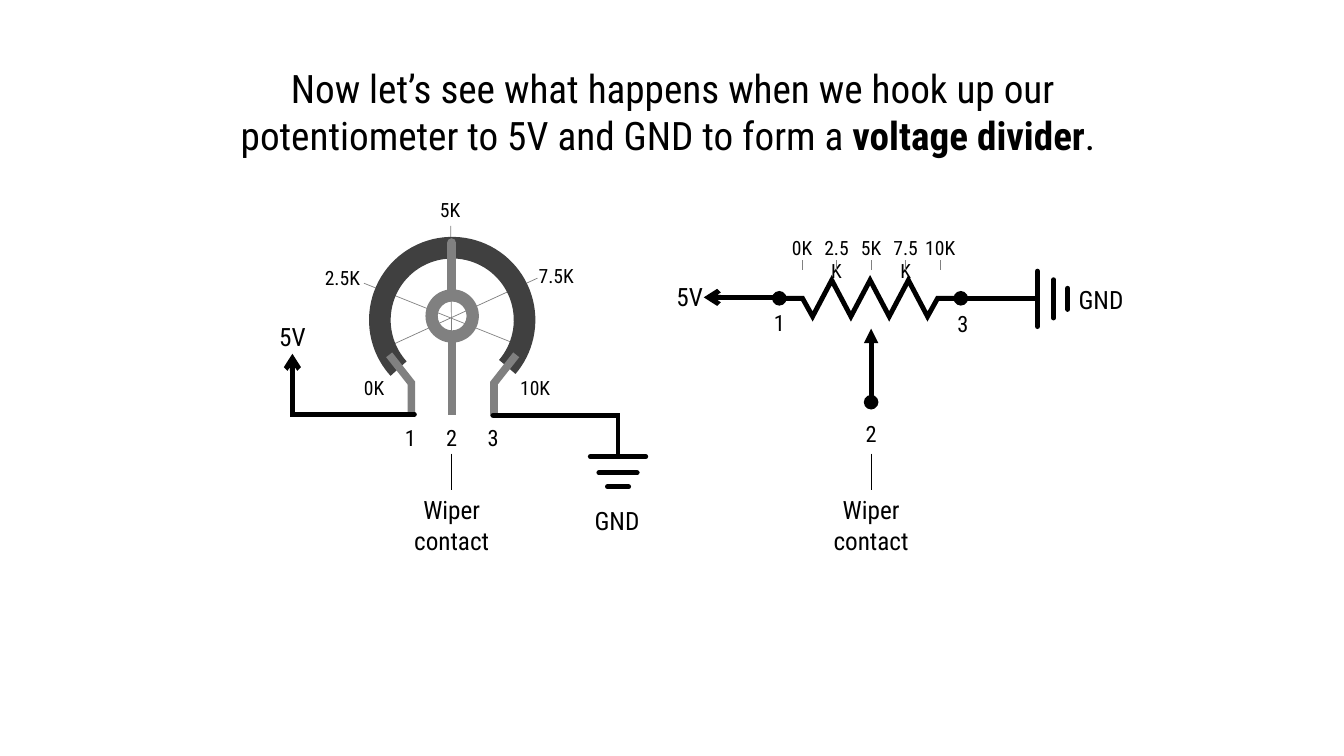
from dataclasses import dataclass

from lxml import etree
from pptx import Presentation
from pptx.dml.color import RGBColor
from pptx.enum.shapes import MSO_CONNECTOR, MSO_SHAPE
from pptx.enum.text import MSO_ANCHOR, MSO_AUTO_SIZE, PP_ALIGN
from pptx.oxml.ns import qn
from pptx.slide import Slide
from pptx.util import Inches, Pt

STRAIGHT = MSO_CONNECTOR.STRAIGHT
BLOCK_ARC, DONUT = MSO_SHAPE.BLOCK_ARC, MSO_SHAPE.DONUT
TOP, GROW = MSO_ANCHOR.TOP, MSO_AUTO_SIZE.SHAPE_TO_FIT_TEXT
LEFT, CENTER, RIGHT = PP_ALIGN.LEFT, PP_ALIGN.CENTER, PP_ALIGN.RIGHT
FONT = "Roboto Condensed"
BLACK, GRAY, DARK = "000000", "808080", "404040"
COLUMNS, ROWS = 1333, 750
UNIT = Inches(0.01)
LABEL_ROWS = {14: 34, 16: 37, 18: 40}
GROUND_BARS = ((0, 27.5), (16, 19), (30, 10.5))


def color(value):
    """Turn a hex string into a colour."""
    return RGBColor.from_string(value)


def grid(*counts):
    """Turn counts of grid columns or rows into lengths."""
    return [int(count * UNIT) for count in counts]


def style_text(frame, size, align):
    """Format every run in a text frame alike."""
    frame.word_wrap = True
    frame.auto_size = GROW
    frame.vertical_anchor = TOP
    for para in frame.paragraphs:
        para.alignment = align
        for span in para.runs:
            span.font.name = FONT
            span.font.size = Pt(size)
            span.font.color.rgb = color(BLACK)


def add_title(page, box, parts):
    """Fill the title placeholder with (text, bold) parts."""
    title = page.shapes.title
    title.left, title.top, title.width, title.height = grid(*box)
    para = title.text_frame.paragraphs[0]
    for text, bold in parts:
        span = para.add_run()
        span.text = text
        span.font.bold = bold
    style_text(title.text_frame, 28, CENTER)


@dataclass
class Panel:
    """A drawing area measured from its vertical axis and its top."""

    page: Slide
    axis: float
    top: float

    def label(self, text, middle, top, width, size, align=CENTER):
        """Write a label around a middle column."""
        box = self.page.shapes.add_textbox(*grid(
            self.axis + middle - width / 2, self.top + top, width, LABEL_ROWS[size]))
        box.text_frame.text = text
        style_text(box.text_frame, size, align)

    def wire(self, points, width=3.5, hue=BLACK, head=None, tail=None, cap="rnd"):
        """Draw a line through points, with optional ends."""
        points = [grid(self.axis + x, self.top + y) for x, y in points]
        shapes = self.page.shapes
        if len(points) == 2:
            line = shapes.add_connector(STRAIGHT, *points[0], *points[1])
        else:
            builder = shapes.build_freeform(*points[0], scale=1.0)
            builder.add_line_segments(points[1:], close=False)
            line = builder.convert_to_shape()
            line.fill.background()
        line.line.color.rgb = color(hue)
        line.line.width = Pt(width)
        stroke = line.line._get_or_add_ln()
        stroke.set("cap", cap)
        etree.SubElement(stroke, qn("a:miter"), lim="800000")
        for tag, kind in (("a:headEnd", head), ("a:tailEnd", tail)):
            if kind:
                etree.SubElement(stroke, qn(tag), type=kind)
        etree.SubElement(line.element.spPr, qn("a:effectLst"))

    def ring(self, kind, left, top, size, hue, adjustments, rotation=0):
        """Draw a round preset shape."""
        shape = self.page.shapes.add_shape(
            kind, *grid(self.axis + left, self.top + top, size, size))
        for index, value in enumerate(adjustments):
            shape.adjustments[index] = value
        shape.rotation = rotation
        shape.shadow.inherit = False
        shape.fill.solid()
        shape.fill.fore_color.rgb = color(hue)
        shape.line.fill.background()

    def ground(self, x, y, downward):
        """Draw the three shrinking bars of a ground sign."""
        for offset, half in GROUND_BARS:
            if downward:
                self.wire([(x - half, y + offset), (x + half, y + offset)])
            else:
                self.wire([(x + offset, y + half), (x + offset, y - half)])

    def wiper_note(self):
        """Name the wiper contact below pin 2."""
        self.wire([(0, 260), (0, 296)], 0.5, cap="flat")
        self.label("Wiper contact", 0, 296, 148, 18)


def draw_potentiometer(page, axis, top):
    """Draw the dial with its three pins, supply and ground."""
    panel = Panel(page, axis, top)
    for text, start, end, middle, row, width, align in (
            ("5K", (0, 161), (-1, 34), -1.5, 1, 43, CENTER),
            ("2.5K", (73, 155), (-87, 91), -108.5, 69, 55, RIGHT),
            ("7.5K", (85, 86), (-72, 158), 103.5, 67, 55, RIGHT)):
        panel.wire([start, end], 0.5, GRAY, cap="flat")
        panel.label(text, middle, row, width, 14, align)
    panel.ring(BLOCK_ARC, -82, 45, 165, DARK, (57.13, 214.69, 0.13), 42.6)
    for side in (-1, 1):
        leg = [(1 + side * 63, 162), (1 + side * 41, 190), (1 + side * 41, 223)]
        panel.wire(leg, 5.5, GRAY, cap="flat")
    panel.wire([(0, 148), (0, 222)], 5.5, GRAY, cap="flat")
    panel.ring(DONUT, -26, 97, 53, GRAY, (0.23,))
    panel.wire([(0, 97), (0, 51)], 6.75, GRAY)
    for pin in (1, 2, 3):
        panel.label(str(pin), (pin - 2) * 41, 226, 65, 16)
    panel.label("10K", 85.5, 178, 55, 14, LEFT)
    panel.label("0K", -84.5, 178, 55, 14, RIGHT)
    panel.wiper_note()
    panel.wire([(-37, 221), (-158, 221), (-158, 161)], tail="arrow")
    panel.label("5V", -158, 124, 66, 18)
    panel.wire([(41, 222), (165, 222), (165, 261)])
    panel.ground(165, 263, True)
    panel.label("GND", 164, 306, 66, 18)


def draw_schematic(page, axis, top):
    """Draw the resistor symbol between supply and ground."""
    panel = Panel(page, axis, top)
    zigzag = [(-58 + 19 * step, 88 if step % 2 else 124) for step in range(7)]
    panel.wire([(-91, 106), (-68, 106), *zigzag, (66, 106), (89, 106)],
               head="oval", tail="oval")
    panel.wire([(0, 209), (0, 136)], head="oval", tail="triangle")
    panel.wiper_note()
    for pin, row in ((1, 112), (2, 222), (3, 113)):
        panel.label(str(pin), (pin - 2) * 91, row, 65, 16)
    for step, text in enumerate(("0K", "2.5K", "5K", "7.5K", "10K")):
        column = (step - 2) * 34.25
        panel.label(text, column, 39, 50, 14)
        panel.wire([(column, 68), (column, 78)], 0.5, GRAY, cap="flat")
    panel.wire([(-91, 105), (-166, 105)], tail="arrow")
    panel.label("5V", -180, 84, 66, 18)
    panel.wire([(90, 106), (165, 106)])
    panel.ground(165, 106.5, False)
    panel.label("GND", 228, 87, 66, 18)


def main():
    """Build and save the deck."""
    deck = Presentation()
    deck.slide_width, deck.slide_height = grid(COLUMNS, ROWS)
    page = deck.slides.add_slide(deck.slide_layouts[5])
    add_title(page, (209, 59, 916, 104), (
        ("Now let’s see what happens when we hook up our potentiometer "
         "to 5V and GND to form a ", False),
        ("voltage divider", True),
        (". ", False)))
    draw_potentiometer(page, 448, 190)
    draw_schematic(page, 864, 190)
    deck.save("out.pptx")


if __name__ == "__main__":
    main()
